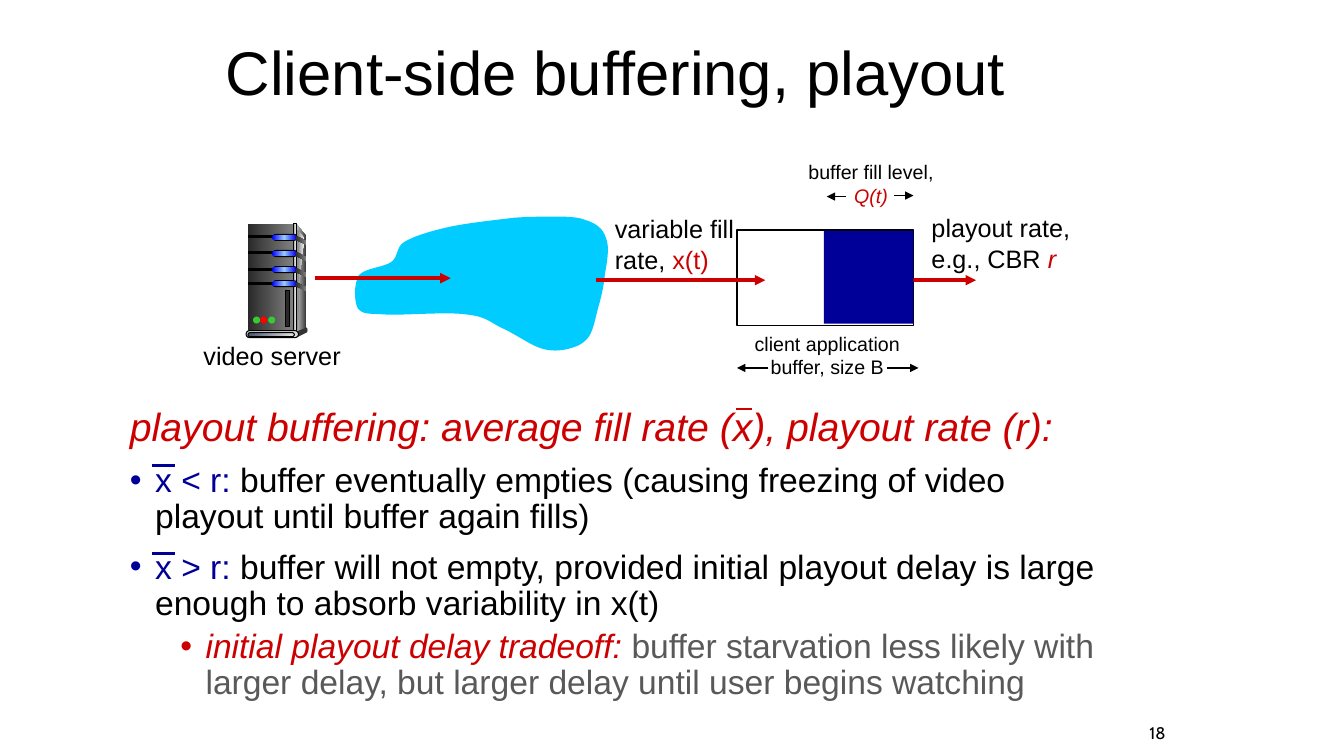
from copy import deepcopy

from lxml import etree
from pptx import Presentation
from pptx.dml.color import RGBColor
from pptx.enum.shapes import MSO_CONNECTOR, MSO_SHAPE as Preset
from pptx.enum.text import MSO_ANCHOR as Anchor, MSO_AUTO_SIZE as AutoSize, PP_ALIGN as Align
from pptx.oxml.ns import qn
from pptx.util import Inches, Pt

BLACK = RGBColor(0x00, 0x00, 0x00)
RED = RGBColor(0xCC, 0x00, 0x00)
NAVY = RGBColor(0x00, 0x00, 0x99)
GRAY = RGBColor(0x59, 0x59, 0x59)
CYAN = RGBColor(0x00, 0xCC, 0xFF)
CHARCOAL = RGBColor(0x29, 0x29, 0x29)
DARK = RGBColor(0x33, 0x33, 0x33)
MEDIUM = RGBColor(0x80, 0x80, 0x80)
SILVER = RGBColor(0xDD, 0xDD, 0xDD)
PALE = RGBColor(0xF8, 0xF8, 0xF8)
BLUE = RGBColor(0x00, 0x00, 0xFF)
SKY = RGBColor(0x99, 0xCC, 0xFF)
SLATE = RGBColor(0x44, 0x54, 0x6A)
MIST = RGBColor(0xE7, 0xE6, 0xE6)
GREEN = RGBColor(0x33, 0xCC, 0x33)
BRIGHT_RED = RGBColor(0xFF, 0x00, 0x00)

# Start point, then two control points and an end point for each curve.
CLOUD = [
    (5.1, 2.16),
    (4.94, 2.18), (4.65, 2.21), (4.46, 2.25), (4.28, 2.29), (4.11, 2.34), (4.01, 2.4),
    (3.92, 2.46), (3.96, 2.54), (3.88, 2.6), (3.81, 2.65), (3.62, 2.66), (3.56, 2.73),
    (3.51, 2.81), (3.51, 2.99), (3.55, 3.06), (3.6, 3.12), (3.65, 3.11), (3.83, 3.12),
    (4.01, 3.13), (4.44, 3.09), (4.63, 3.12), (4.82, 3.14), (4.85, 3.19), (4.97, 3.25),
    (5.09, 3.3), (5.24, 3.41), (5.35, 3.45), (5.46, 3.49), (5.56, 3.48), (5.64, 3.46),
    (5.72, 3.44), (5.79, 3.41), (5.84, 3.34), (5.89, 3.27), (5.91, 3.13), (5.94, 3.03),
    (5.97, 2.92), (5.99, 2.83), (6, 2.72), (6.02, 2.61), (6.05, 2.45), (6.01, 2.36),
    (5.98, 2.26), (5.9, 2.21), (5.8, 2.18), (5.7, 2.14), (5.53, 2.15), (5.41, 2.15),
    (5.29, 2.15), (5.25, 2.15), (5.1, 2.16),
]
DOOR = [(2.95, 2.28), (2.95, 2.28), (2.96, 2.29), (3.02, 2.37),
        (2.95, 2.77), (2.96, 3.29), (2.95, 3.27)]
SIDE_SLOT = [(0, 0), (0.02, 0), (0.06, 0.03), (0.11, 0.05),
             (0.11, 0.07), (0.11, 0.06), (0.11, 0.09),
             (0.11, 0.09), (0.06, 0.06), (0, 0.04), (0, 0.02), (0, 0.01), (0, 0)]


def paint(shape, colors, outline=None, width=0.75):
    """Fill with nothing, one colour or an even left-to-right gradient."""
    shape.shadow.inherit = False
    fill = shape.fill
    if not colors:
        fill.background()
    elif len(colors) == 1:
        fill.solid()
        fill.fore_color.rgb = colors[0]
    else:
        fill.gradient()
        fill.gradient_angle = 0
        stop_list = shape._element.spPr.find(".//" + qn("a:gsLst"))
        for _ in colors[2:]:
            stop_list.append(deepcopy(stop_list[-1]))
        for index, (stop, color) in enumerate(zip(fill.gradient_stops, colors)):
            stop.color.rgb = color
            stop.position = index / (len(colors) - 1)
    if outline is None:
        shape.line.fill.background()
    else:
        shape.line.color.rgb = outline
        shape.line.width = Pt(width)


def add_block(shapes, preset, place, *colors, outline=None, width=0.75):
    block = shapes.add_shape(preset, *map(Inches, place))
    if preset == Preset.ROUNDED_RECTANGLE:
        block.adjustments[0] = 0.5
    paint(block, colors, outline, width)


def add_outline(shapes, points, *colors, curved=False):
    """Draw a closed outline; if curved, each three points make a cubic curve."""
    corners = [(Inches(x), Inches(y)) for x, y in points]
    builder = shapes.build_freeform(*corners[0], scale=1.0)
    builder.add_line_segments(corners[1:], close=True)
    outline = builder.convert_to_shape()
    if curved:
        segments = list(outline._element.spPr.iter(qn("a:lnTo")))
        for first in range(0, len(corners) - 1, 3):
            curve = etree.Element(qn("a:cubicBezTo"))
            segments[first].addprevious(curve)
            for segment in segments[first:first + 3]:
                curve.append(segment[0])
                segment.getparent().remove(segment)
    paint(outline, colors)


def add_line(page, left, right, y, color, width, arrow=True):
    line = page.shapes.add_connector(
        MSO_CONNECTOR.STRAIGHT, Inches(left), Inches(y), Inches(right), Inches(y))
    line.line.color.rgb = color
    line.line.width = Pt(width)
    if arrow:
        etree.SubElement(line.line._get_or_add_ln(), qn("a:tailEnd"), type="triangle")
    etree.SubElement(line._element.spPr, qn("a:effectLst"))


def add_bullet(para, color, margin):
    props = para._p.get_or_add_pPr()
    props.set("marL", str(Inches(margin)))
    props.set("indent", str(Inches(-0.25)))
    bullet_color = etree.SubElement(props, qn("a:buClr"))
    etree.SubElement(bullet_color, qn("a:srgbClr"), val=str(color))
    etree.SubElement(props, qn("a:buFont"), typeface="Arial")
    etree.SubElement(props, qn("a:buChar"), char="•")


def write(para, spans, size, font="Arial"):
    """Add (text, colour, italic) spans to a paragraph."""
    para.font.size = Pt(size)
    para.font.name = font
    for text, color, italic in spans:
        span = para.add_run()
        span.text = text
        span.font.color.rgb = color
        span.font.italic = italic


def add_text(page, place, lines, size, font="Arial", align=Align.LEFT,
             anchor=Anchor.TOP, wrap=True, spacing=None):
    frame = page.shapes.add_textbox(*map(Inches, place)).text_frame
    frame.word_wrap = wrap
    frame.auto_size = AutoSize.NONE if wrap else AutoSize.SHAPE_TO_FIT_TEXT
    frame.vertical_anchor = anchor
    for index, spans in enumerate(lines):
        para = frame.add_paragraph() if index else frame.paragraphs[0]
        write(para, spans, size, font)
        para.alignment = align
        if spacing:
            para.line_spacing = spacing


def add_body(page):
    paragraphs = [
        (28, None, 0, [("playout buffering: average fill rate (x), playout rate (r):", RED, True)]),
        (24, 0.25, 10, [("x < r: ", NAVY, False),
                        ("buffer eventually empties (causing freezing of video "
                         "playout until buffer again fills)", BLACK, False)]),
        (24, 0.25, 10, [("x > r: ", NAVY, False),
                        ("buffer will not empty, provided initial playout delay is large "
                         "enough to absorb variability in x(t)", BLACK, False)]),
        (24, 0.75, 5, [("initial playout delay tradeoff: ", RED, True),
                       ("buffer starvation less likely with larger delay, but larger "
                        "delay until user begins watching", GRAY, False)]),
    ]
    frame = page.shapes.add_textbox(*map(Inches, (1.19, 3.99, 9.82, 3.32))).text_frame
    frame.word_wrap = True
    for index, (size, margin, before, spans) in enumerate(paragraphs):
        para = frame.add_paragraph() if index else frame.paragraphs[0]
        if margin:
            add_bullet(para, spans[0][1], margin)
            para.level = int(margin > 0.5)
        write(para, spans, size)
        para.line_spacing = 0.9
        para.space_before = Pt(before)


def add_server(page):
    shapes = page.shapes.add_group_shape().shapes
    rect, pill, oval = Preset.RECTANGLE, Preset.ROUNDED_RECTANGLE, Preset.OVAL
    add_outline(shapes, [(2.94, 2.22), (3.04, 2.35), (3.04, 3.26), (2.92, 3.3)], SILVER, DARK)
    add_block(shapes, rect, (2.46, 2.22, 0.45, 1.08), CHARCOAL, MEDIUM)
    add_outline(shapes, DOOR, MEDIUM, PALE, curved=True)
    add_block(shapes, rect, (2.91, 2.22, 0.03, 1.08), DARK, SILVER, DARK, outline=BLACK)
    for top in (2.34, 2.5, 2.66, 2.8):
        add_block(shapes, rect, (2.47, top, 0.26, 0.02), BLACK, outline=BLACK)
        add_block(shapes, pill, (2.7, top - 0.02, 0.25, 0.07), BLACK)
        add_block(shapes, pill, (2.7, top - 0.01, 0.24, 0.05), BLUE, SKY, BLUE)
        add_outline(shapes, [(2.93 + x, top + y) for x, y in SIDE_SLOT],
                    CHARCOAL, MEDIUM, curved=True)
    add_block(shapes, oval, (3.03, 3.25, 0.02, 0.05), DARK)
    add_outline(shapes, [(2.94, 3.29), (2.94, 3.35), (3.04, 3.3), (3.04, 3.25)], DARK)
    add_block(shapes, pill, (2.44, 3.28, 0.52, 0.07), SILVER, outline=BLACK)
    add_block(shapes, pill, (2.46, 3.3, 0.46, 0.04), SLATE, MIST, outline=BLACK)
    for left, color in ((2.51, GREEN), (2.58, BRIGHT_RED), (2.66, GREEN)):
        add_block(shapes, oval, (left, 3.14, 0.07, 0.07), color)
    add_block(shapes, rect, (2.83, 2.88, 0.04, 0.36), CHARCOAL, outline=BLACK)


def main():
    deck = Presentation()
    deck.slide_width, deck.slide_height = Inches(13.33), Inches(7.5)
    page = deck.slides.add_slide(deck.slide_layouts[6])
    add_body(page)
    add_server(page)
    add_outline(page.shapes, CLOUD, CYAN, curved=True)
    add_block(page.shapes, Preset.RECTANGLE, (7.31, 2.28, 1.75, 0.95), outline=BLACK, width=1.25)
    for left, right, y in ((3.12, 4.47, 2.76), (5.91, 7.59, 2.78), (8.97, 9.68, 2.78)):
        add_line(page, left, right, y, RED, 2.5)
    add_block(page.shapes, Preset.RECTANGLE, (8.17, 2.29, 0.89, 0.92), NAVY)
    for start, end, y in ((8.8, 9.11, 3.65), (7.62, 7.31, 3.65),
                          (8.39, 8.2, 1.95), (8.87, 9.06, 1.94)):
        add_line(page, start, end, y, BLACK, 1.25)
    add_text(page, (6, 2.07, 1.45, 0.71), [[("variable fill", BLACK, False)],
             [("rate, ", BLACK, False), ("x(t)", RED, False)]], 18, wrap=False)
    add_text(page, (9.14, 2.06, 1.59, 0.71), [[("playout rate,", BLACK, False)],
             [("e.g., CBR ", BLACK, False), ("r", RED, True)]], 18, wrap=False)
    add_text(page, (1.92, 3.33, 1.64, 0.4), [[("video server", BLACK, False)]], 18, wrap=False)
    add_text(page, (7.3, 3.24, 1.81, 0.57), [[("client application", BLACK, False)],
             [("buffer, size B", BLACK, False)]], 14, align=Align.CENTER)
    add_text(page, (7.86, 1.54, 1.56, 0.57), [[("buffer fill level, ", BLACK, False),
             ("Q(t)", RED, True)]], 14, align=Align.CENTER)
    add_text(page, (2.14, 0.12, 8.5, 1.25), [[("Client-side buffering, playout", BLACK, False)]],
             44, anchor=Anchor.MIDDLE, spacing=0.9)
    for left, right, y, color, width in ((1.51, 1.74, 4.62, NAVY, 1.75),
                                         (1.51, 1.74, 5.49, NAVY, 1.75),
                                         (7.3, 7.46, 4.06, RED, 1.5)):
        add_line(page, left, right, y, color, width, arrow=False)
    add_text(page, (10.91, 7.12, 0.75, 0.3), [[("18", BLACK, False)]], 12, font="Cabin",
             align=Align.RIGHT, anchor=Anchor.MIDDLE)
    deck.save("out.pptx")


if __name__ == "__main__":
    main()
